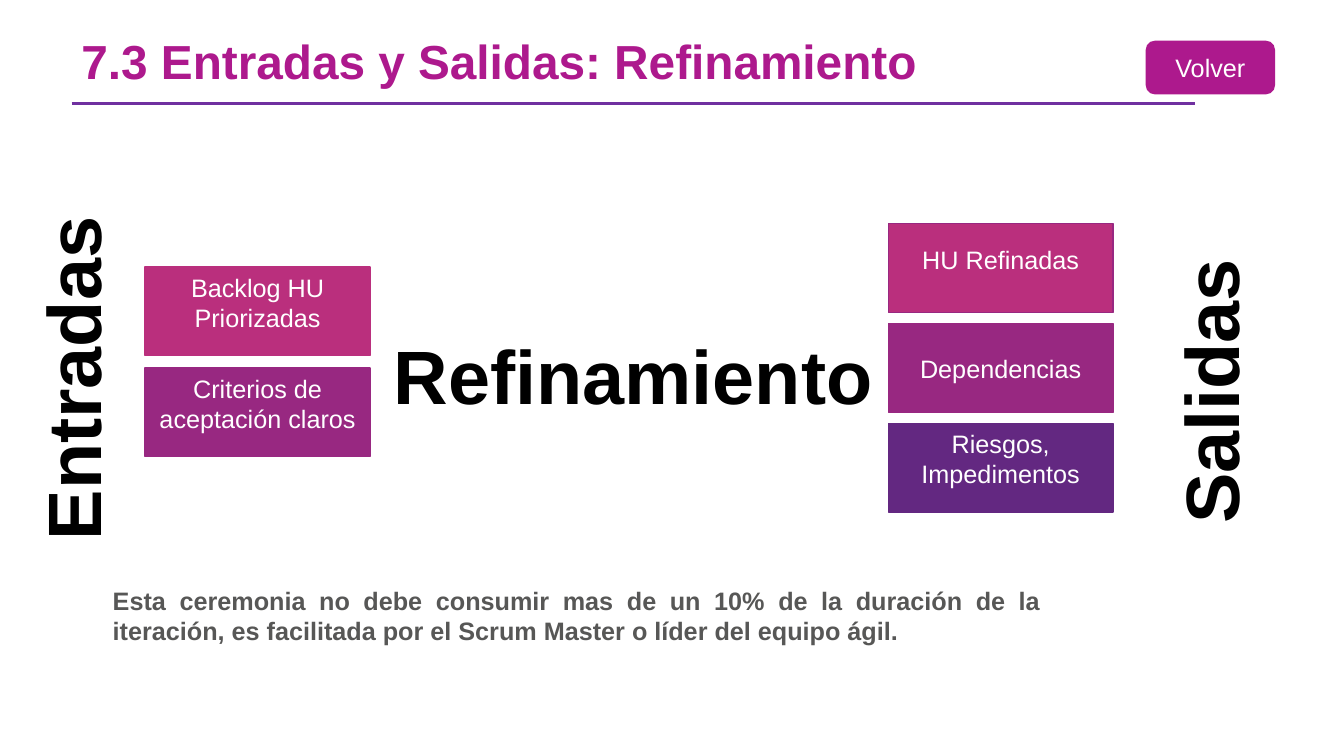
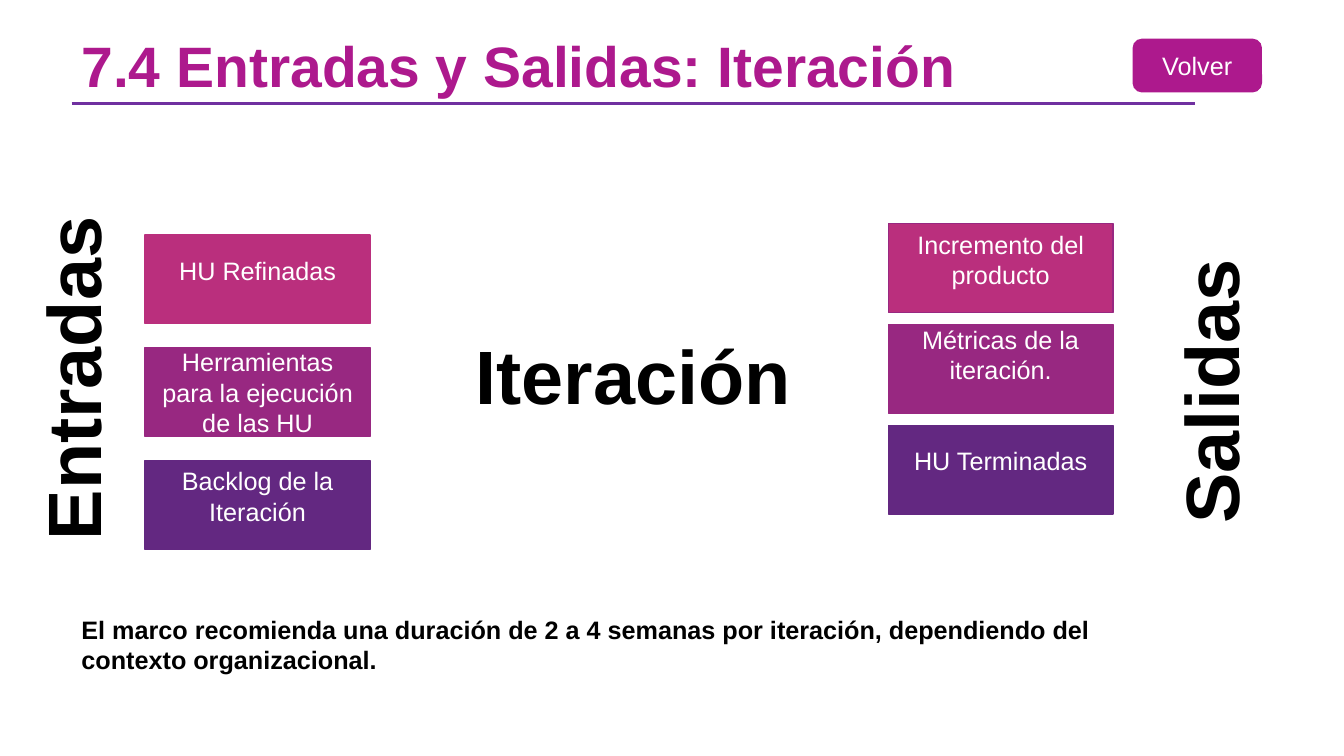
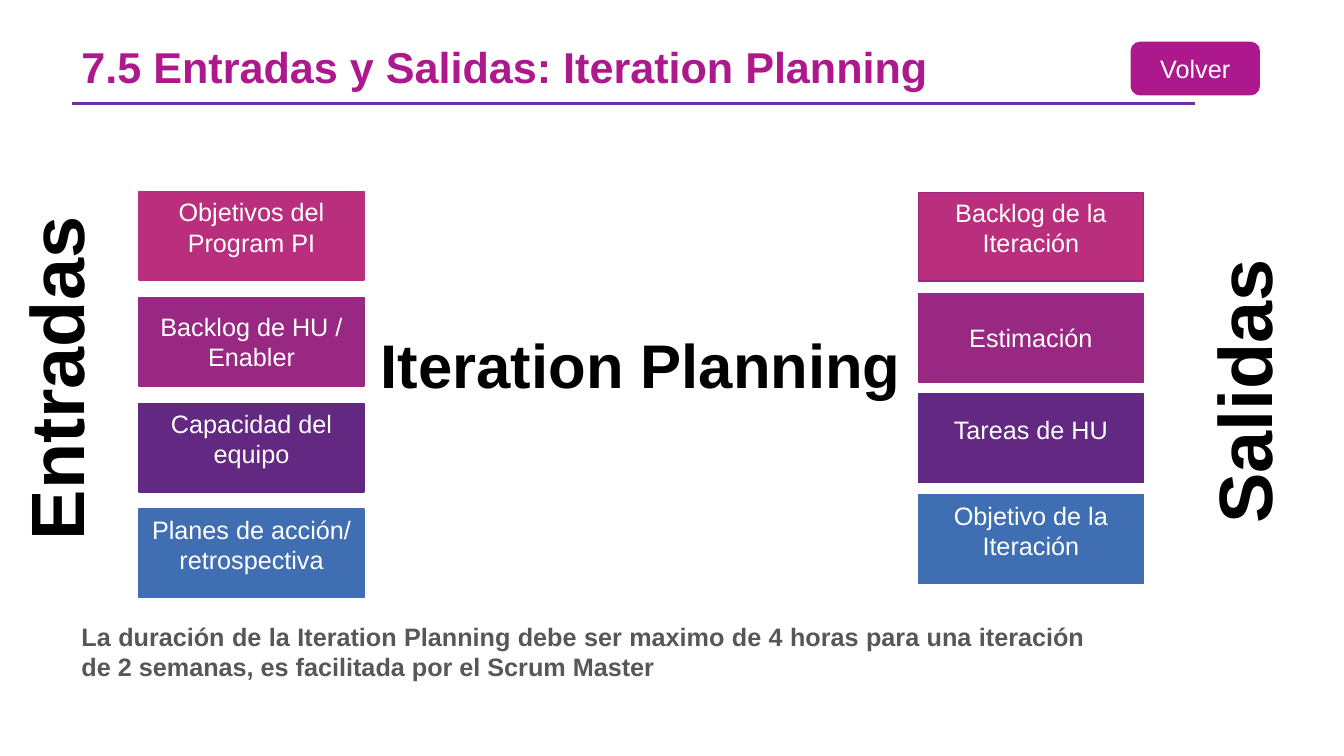
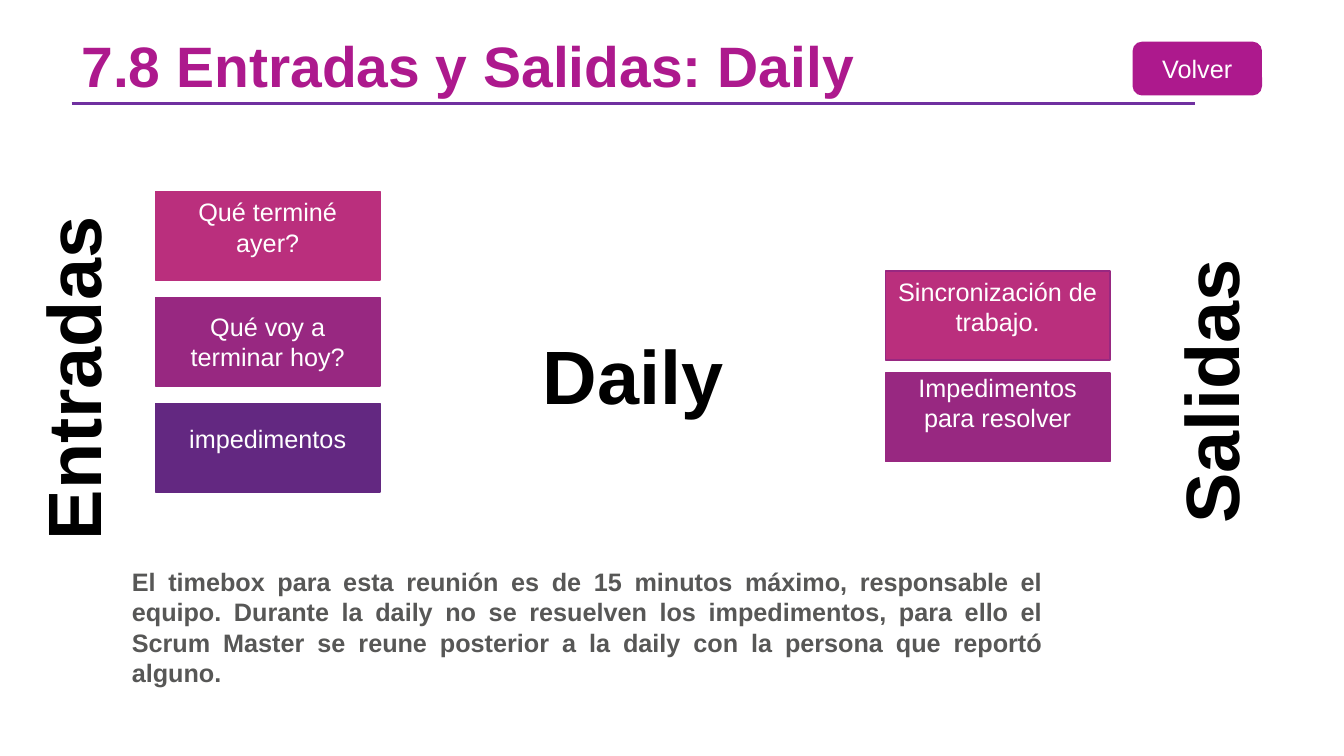
"""Builds four slides showing the inputs and outputs of agile ceremonies."""
import dataclasses

import lxml.etree
import pptx
import pptx.dml.color
import pptx.enum.shapes
import pptx.enum.text
import pptx.oxml.ns
import pptx.util

ALIGN = pptx.enum.text.PP_ALIGN
ANCHOR = pptx.enum.text.MSO_ANCHOR
SHAPE = pptx.enum.shapes.MSO_SHAPE
PX = 9144


@dataclasses.dataclass(frozen=True)
class Theme:
    font: str = "Arial"
    accent: str = "AD198D"
    rule: str = "7030A0"
    black: str = "000000"
    grey: str = "575756"
    white: str = "FFFFFF"
    cards: tuple = ("BA2F7D", "982881", "632881", "406EB3")
    first_output_line: str = "982881"
    body: int = 18
    side: int = 54


T = Theme()
CARD_W, CARD_H = 223, 88
MID, LIFTED, HIGH = 0, 18, 29

SLIDES = [
    {
        "title": ("7.3 Entradas y Salidas: Refinamiento", 34.1, 31),
        "button": (1137, 41),
        "event": ("Refinamiento", 54, 628, 321),
        "sides": (71, 1200),
        "inputs": (144, 265, 100, [("Backlog HU Priorizadas", LIFTED),
                                   ("Criterios de aceptación claros", LIFTED)]),
        "outputs": (881, 222, 99, [("HU Refinadas", LIFTED),
                                   ("Dependencias", MID),
                                   ("Riesgos, Impedimentos", LIFTED)]),
        "note": ("Esta ceremonia no debe consumir mas de un 10% de la duración de la "
                 "iteración, es facilitada por el Scrum Master o líder del equipo ágil.",
                 (102, 576, 940, 71), T.grey, ALIGN.JUSTIFY),
    },
    {
        "title": ("7.4 Entradas y Salidas: Iteración", 40.7, 42),
        "button": (1124, 39),
        "event": ("Iteración", 54, 628, 321),
        "sides": (71, 1200),
        "inputs": (144, 233, 112, [("HU Refinadas", LIFTED),
                                   ("Herramientas para la ejecución de las HU", MID),
                                   ("Backlog de la Iteración", LIFTED)]),
        "outputs": (881, 222, 100, [("Incremento del producto", LIFTED),
                                    ("Métricas de la iteración.", HIGH),
                                    ("HU Terminadas", LIFTED)]),
        "note": ("El marco recomienda una duración de 2 a 4 semanas por iteración, "
                 "dependiendo del contexto organizacional.",
                 (71, 604, 1053, 71), T.black, ALIGN.LEFT),
    },
    {
        "title": ("7.5 Entradas y Salidas: Iteration Planning", 30.8, 42),
        "button": (1122, 42),
        "event": ("Iteration Planning", 44, 636, 319),
        "sides": (54, 1233),
        "inputs": (138, 190, 105, [("Objetivos del Program PI", LIFTED),
                                   ("Backlog de HU / Enabler", MID),
                                   ("Capacidad del equipo", LIFTED),
                                   ("Planes de acción/ retrospectiva", LIFTED)]),
        "outputs": (911, 191, 100, [("Backlog de la Iteración", LIFTED),
                                    ("Estimación", MID),
                                    ("Tareas de HU", LIFTED),
                                    ("Objetivo de la Iteración", LIFTED)]),
        "note": ("La duración de la Iteration Planning debe ser maximo de 4 horas para "
                 "una iteración de 2 semanas, es facilitada por el Scrum Master",
                 (71, 611, 1015, 71), T.grey, ALIGN.JUSTIFY),
    },
    {
        "title": ("7.8 Entradas y Salidas: Daily", 40.7, 42),
        "button": (1124, 42),
        "event": ("Daily", 54, 628, 321),
        "sides": (71, 1200),
        "inputs": (154, 190, 105, [("Qué terminé ayer?", LIFTED),
                                   ("Qué voy a terminar hoy?", MID),
                                   ("impedimentos", LIFTED)]),
        "outputs": (878, 269, 101, [("Sincronización de trabajo.", LIFTED),
                                    ("Impedimentos para resolver", HIGH)]),
        "note": ("El timebox para esta reunión es de 15 minutos máximo, responsable el "
                 "equipo. Durante la daily no se resuelven los impedimentos, para ello "
                 "el Scrum Master se reune posterior a la daily con la persona que "
                 "reportó alguno.",
                 (121, 557, 923, 162), T.grey, ALIGN.JUSTIFY),
    },
]


def rgb(color):
    return pptx.dml.color.RGBColor.from_string(color)


def emu(*lengths):
    return [round(v * PX) for v in lengths]


def write(sp, text, size, color, align, bold=True):
    p = sp.text_frame.paragraphs[0]
    p.text = text
    p.alignment = align
    p.font.name = T.font
    p.font.size = pptx.util.Pt(size)
    p.font.bold = bold
    p.font.color.rgb = rgb(color)
    return p


def add_text(s, box, text, size, color, align, wrap=True):
    sp = s.shapes.add_textbox(*emu(*box))
    sp.text_frame.word_wrap = wrap
    write(sp, text, size, color, align)
    return sp


def add_box(s, kind, box, text, fill, line, lift=MID):
    sp = s.shapes.add_shape(kind, *emu(*box))
    sp.shadow.inherit = False
    sp.fill.solid()
    sp.fill.fore_color.rgb = rgb(fill)
    sp.line.color.rgb = rgb(line)
    sp.line.width = pptx.util.Pt(1)
    tf = sp.text_frame
    tf.word_wrap = True
    tf.vertical_anchor = ANCHOR.MIDDLE
    tf.margin_top, tf.margin_bottom = emu(0, lift)
    write(sp, text, T.body, T.white, ALIGN.CENTER, bold=False)


def add_header(s, title, size, top):
    c = s.shapes.add_connector(pptx.enum.shapes.MSO_CONNECTOR.STRAIGHT,
                               *emu(71, 103, 1185, 103))
    c.line.color.rgb = rgb(T.rule)
    c.line.width = pptx.util.Pt(2.25)
    lxml.etree.SubElement(c._element.spPr, pptx.oxml.ns.qn("a:effectLst"))
    sp = add_text(s, (71, top, 1033, 103 - top), title, size, T.accent, ALIGN.LEFT)
    sp.text_frame.vertical_anchor = ANCHOR.MIDDLE
    sp.text_frame.paragraphs[0].line_spacing = 0.7


def add_cards(s, column, first_line):
    left, top, pitch, cards = column
    for i, (text, lift) in enumerate(cards):
        line = T.cards[i] if i else first_line
        add_box(s, SHAPE.RECTANGLE, (left, top + i * pitch, CARD_W, CARD_H),
                text, T.cards[i], line, lift)


def add_side_label(s, text, center_x, center_y, width):
    box = (center_x - width / 2, center_y - 50.5, width, 101)
    sp = add_text(s, box, text, T.side, T.black, ALIGN.CENTER, wrap=False)
    sp.rotation = 270


def build_slide(prs, data):
    s = prs.slides.add_slide(prs.slide_layouts[6])
    add_header(s, *data["title"])
    add_cards(s, data["inputs"], T.cards[0])
    add_cards(s, data["outputs"], T.first_output_line)
    event, size, center, top = data["event"]
    add_text(s, (center - 271, top, 542, 101), event, size, T.black,
             ALIGN.CENTER, wrap=False)
    left, right = data["sides"]
    add_side_label(s, "Entradas", left, 375.5, 344)
    add_side_label(s, "Salidas", right, 388.5, 285)
    note, box, color, align = data["note"]
    add_text(s, box, note, T.body, color, align)
    add_box(s, SHAPE.ROUNDED_RECTANGLE, (*data["button"], 127, 52),
            "Volver", T.accent, T.accent)


def main():
    prs = pptx.Presentation()
    prs.slide_width, prs.slide_height = emu(1333, 750)
    for data in SLIDES:
        build_slide(prs, data)
    prs.save("out.pptx")


if __name__ == "__main__":
    main()
